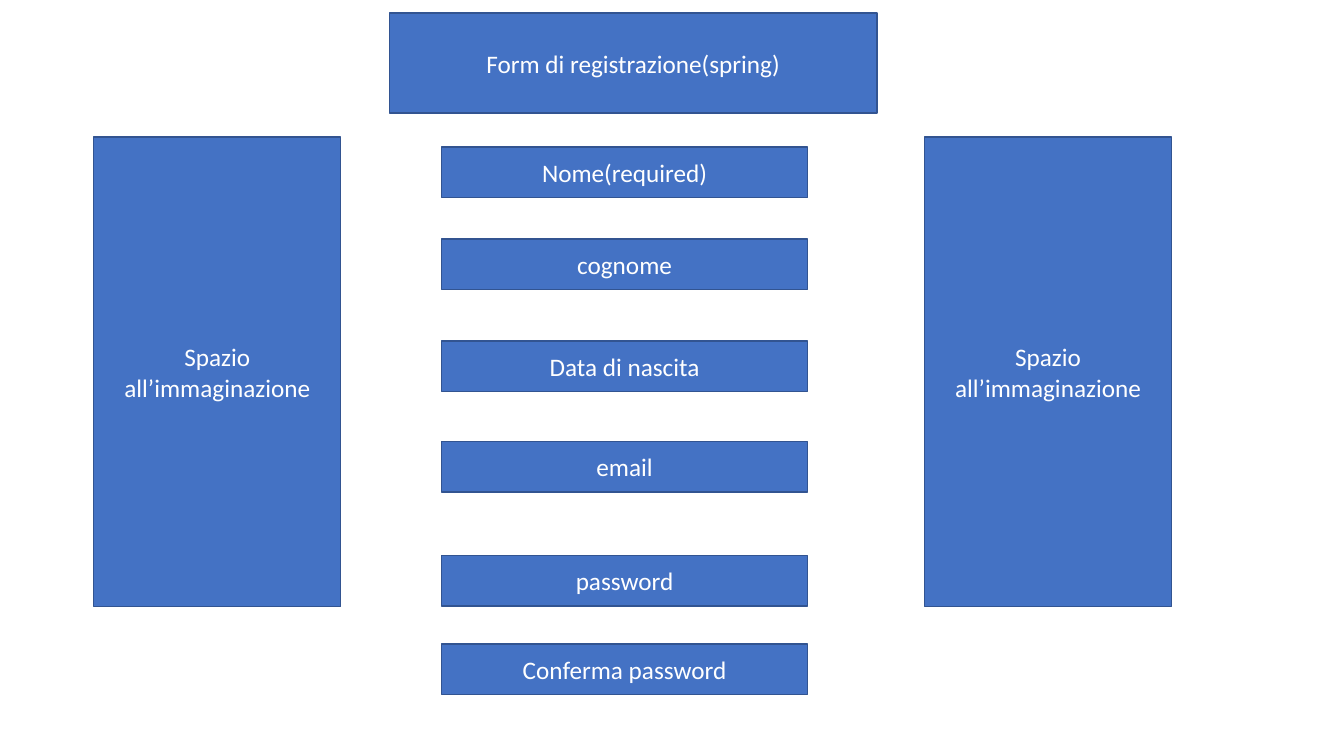
from collections import namedtuple

from pptx import Presentation
from pptx.dml.color import RGBColor
from pptx.enum.shapes import MSO_SHAPE as SHAPE
from pptx.enum.text import MSO_ANCHOR as ANCHOR, PP_ALIGN as ALIGN
from pptx.util import Inches, Pt

Box = namedtuple("Box", "left top width height")
BLUE, EDGE, WHITE = "4472C4", "325491", "FFFFFF"
FONT = {"name": "Calibri", "size": Pt(18), "bold": False}
FRAME = {"word_wrap": True, "vertical_anchor": ANCHOR.MIDDLE}
FIELD_HEIGHT = 9.2
FIELDS = {
    "Nome(required)": 0,
    "cognome": 16.8,
    "Data di nascita": 35.4,
    "email": 53.8,
    "password": 74.6,
    "Conferma password": 90.8,
}


def color(value):
    return RGBColor.from_string(value)


def apply(target, values):
    for name, value in values.items():
        setattr(target, name, value)


def within(box, left, top, width, height):
    return Box(
        int(box.left + box.width * left / 100),
        int(box.top + box.height * top / 100),
        int(box.width * width / 100),
        int(box.height * height / 100),
    )


def style_panel(sp, text):
    sp.fill.solid()
    sp.fill.fore_color.rgb = color(BLUE)
    sp.line.color.rgb = color(EDGE)
    sp.line.width = Pt(1)
    tf = sp.text_frame
    apply(tf, FRAME)
    p = tf.paragraphs[0]
    p.alignment = ALIGN.CENTER
    r = p.add_run()
    r.text = text
    apply(r.font, FONT)
    r.font.color.rgb = color(WHITE)


def add_panel(s, box, text):
    sp = s.shapes.add_shape(SHAPE.RECTANGLE, *box)
    sp.shadow.inherit = False
    style_panel(sp, text)


def add_heading(s, box, text):
    sp = s.shapes.title
    apply(sp, box._asdict())
    style_panel(sp, text)


def add_form(s, box):
    for label, top in FIELDS.items():
        add_panel(s, within(box, 0, top, 100, FIELD_HEIGHT), label)


def add_side_spaces(s, box):
    for left in (6.98, 68.79):
        add_panel(s, within(box, left, 0, 18.38, 100), "Spazio all’immaginazione")


prs = Presentation()
apply(prs, {"slide_width": Inches(13.33), "slide_height": Inches(7.5)})
s = prs.slides.add_slide(prs.slide_layouts[5])
page = Box(0, 0, prs.slide_width, prs.slide_height)
add_heading(s, within(page, 28.96, 1.73, 36.31, 13.2), "Form di registrazione(spring)")
add_form(s, within(page, 32.86, 19.47, 27.23, 72.4))
add_side_spaces(s, within(page, 0, 18.13, 100, 62.13))
prs.save("out.pptx")
